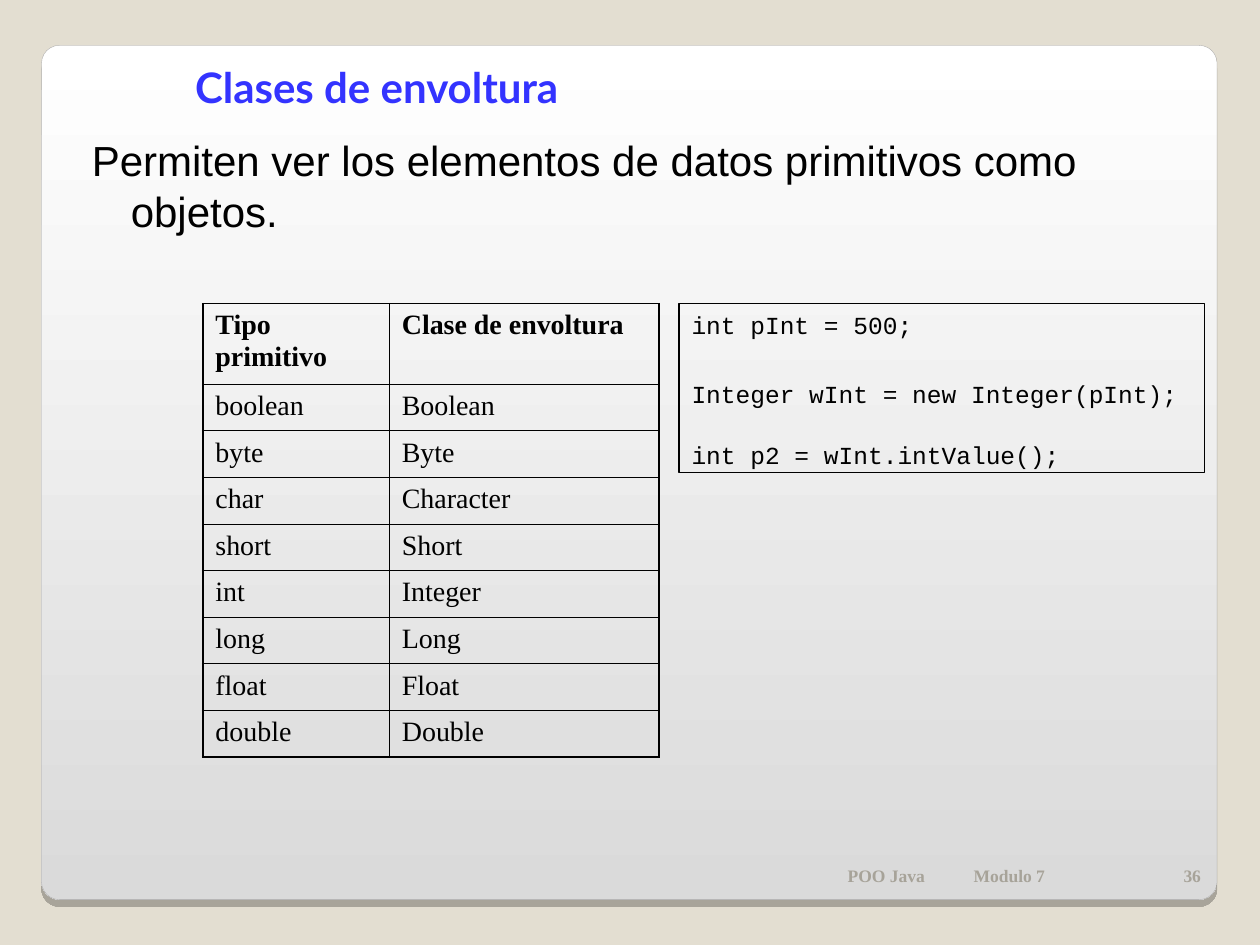
from dataclasses import dataclass

from lxml import etree
from pptx import Presentation
from pptx.dml.color import RGBColor
from pptx.enum.shapes import MSO_SHAPE
from pptx.enum.text import MSO_ANCHOR, PP_ALIGN
from pptx.oxml.ns import qn
from pptx.util import Inches, Pt

ROUNDED = MSO_SHAPE.ROUNDED_RECTANGLE
RECTANGLE = MSO_SHAPE.RECTANGLE
TOP, BOTTOM = MSO_ANCHOR.TOP, MSO_ANCHOR.BOTTOM
LEFT, RIGHT = PP_ALIGN.LEFT, PP_ALIGN.RIGHT

BLACK = RGBColor(0x00, 0x00, 0x00)
WHITE = RGBColor(0xFF, 0xFF, 0xFF)
SILVER = RGBColor(0xDA, 0xDA, 0xDA)
EDGE = RGBColor(0xA4, 0xA3, 0xA3)
SAND = RGBColor(0xE3, 0xDE, 0xD1)
TAUPE = RGBColor(0xA7, 0xA3, 0x99)
BLUE = RGBColor(0x33, 0x33, 0xFF)

THIN, THICK = 0.45, 1.08


@dataclass(frozen=True)
class Style:
    font: str
    size: float
    color: RGBColor = BLACK
    bold: bool = False


@dataclass(frozen=True)
class Label:
    text: str
    left: float
    top: float
    width: float
    height: float
    style: Style
    anchor: MSO_ANCHOR = TOP
    align: PP_ALIGN = LEFT
    margin: float = 0
    indent: float = 0
    tab: float = 0


FOOTER = Style("Times New Roman", 10, TAUPE, True)
CODE = Style("Courier New", 14)
HEADING = Style("Times New Roman", 16, bold=True)
CELL = Style("Times New Roman", 16)

LABELS = [
    Label("POO Java\tModulo 7", 6.63, 6.68, 2.5, 0.4, FOOTER, BOTTOM, tab=0.79),
    Label("36", 9.13, 6.68, 0.5, 0.4, FOOTER, BOTTOM, RIGHT),
    Label("Clases de envoltura", 0.51, 0.44, 4.65, 0.5,
          Style("Lato", 24, BLUE, True), margin=1.25, indent=-0.31),
    Label("Permiten ver los elementos de datos primitivos como objetos.",
          0.63, 1.02, 8.91, 0.9, Style("Arial", 24), margin=0.31, indent=-0.31),
]

CODE_LINES = [
    "int pInt = 500;",
    "Integer wInt = new Integer(pInt);",
    "int p2 = wInt.intValue();",
]

WRAPPERS = [
    ("Tipo primitivo", "Clase de envoltura"),
    ("boolean", "Boolean"),
    ("byte", "Byte"),
    ("char", "Character"),
    ("short", "Short"),
    ("int", "Integer"),
    ("long", "Long"),
    ("float", "Float"),
    ("double", "Double"),
]
COLUMN_WIDTHS = [1.48, 2.14]
HEADING_HEIGHT, ROW_HEIGHT = 0.64, 0.37


def add_span(para, text: str, style: Style) -> None:
    span = para.add_run()
    span.text = text
    span.font.name = style.font
    span.font.size = Pt(style.size)
    span.font.bold = style.bold
    span.font.color.rgb = style.color


def set_indent(para, margin: float, indent: float) -> None:
    properties = para._p.get_or_add_pPr()
    properties.set("marL", str(Inches(margin)))
    properties.set("indent", str(Inches(indent)))


def add_panel(page) -> None:
    panel = page.shapes.add_shape(ROUNDED, Inches(0.33), Inches(0.36), Inches(9.33), Inches(6.78))
    panel.adjustments[0] = 0.021
    panel.fill.gradient()
    panel.fill.gradient_angle = 270
    for stop, color in zip(panel.fill.gradient_stops, (WHITE, SILVER)):
        stop.color.rgb = color
    panel.line.color.rgb = EDGE
    panel.line.width = Pt(0.17)
    panel.shadow.inherit = False
    effects = panel._element.spPr.find(qn("a:effectLst"))
    shadow = etree.SubElement(effects, qn("a:outerShdw"), blurRad="0", dist=str(Pt(4)),
                              dir="5400000", algn="ctr", rotWithShape="0")
    tint = etree.SubElement(shadow, qn("a:srgbClr"), val=str(BLACK))
    etree.SubElement(tint, qn("a:alpha"), val="25000")


def add_label(page, label: Label) -> None:
    box = page.shapes.add_textbox(Inches(label.left), Inches(label.top),
                                  Inches(label.width), Inches(label.height))
    frame = box.text_frame
    frame.word_wrap = True
    frame.vertical_anchor = label.anchor
    para = frame.paragraphs[0]
    para.alignment = label.align
    set_indent(para, label.margin, label.indent)
    if label.tab:
        tabs = etree.SubElement(para._p.get_or_add_pPr(), qn("a:tabLst"))
        etree.SubElement(tabs, qn("a:tab"), pos=str(Inches(label.tab)), algn="l")
    add_span(para, label.text, label.style)


def add_code(page) -> None:
    box = page.shapes.add_shape(RECTANGLE, Inches(5.39), Inches(2.41), Inches(4.17), Inches(1.34))
    box.shadow.inherit = False
    box.fill.background()
    box.line.color.rgb = BLACK
    box.line.width = Pt(0.75)
    frame = box.text_frame
    frame.word_wrap = True
    frame.vertical_anchor = TOP
    for number, line in enumerate(CODE_LINES):
        para = frame.add_paragraph() if number else frame.paragraphs[0]
        para.alignment = LEFT
        set_indent(para, 0.31, -0.31)
        if number:
            para.space_before = Pt(18)
        else:
            para.space_after = Pt(5)
        add_span(para, line, CODE)


def set_border(cell, side: str, width: float) -> None:
    border = etree.SubElement(cell._tc.get_or_add_tcPr(), qn(f"a:ln{side}"), w=str(Pt(width)))
    fill = etree.SubElement(border, qn("a:solidFill"))
    etree.SubElement(fill, qn("a:srgbClr"), val=str(BLACK))


def add_wrapper_table(page) -> None:
    last_row, last_column = len(WRAPPERS) - 1, len(COLUMN_WIDTHS) - 1
    height = HEADING_HEIGHT + last_row * ROW_HEIGHT
    table = page.shapes.add_table(len(WRAPPERS), len(COLUMN_WIDTHS), Inches(1.61), Inches(2.41),
                                  Inches(sum(COLUMN_WIDTHS)), Inches(height)).table
    table.first_row = False
    table.horz_banding = False
    for column, width in zip(table.columns, COLUMN_WIDTHS):
        column.width = Inches(width)
    for r, names in enumerate(WRAPPERS):
        table.rows[r].height = Inches(ROW_HEIGHT if r else HEADING_HEIGHT)
        for c, name in enumerate(names):
            cell = table.cell(r, c)
            outer = {"L": c == 0, "R": c == last_column, "T": r == 0, "B": r == last_row}
            for side, is_outer in outer.items():
                set_border(cell, side, THICK if is_outer else THIN)
            cell.fill.background()
            add_span(cell.text_frame.paragraphs[0], name, CELL if r else HEADING)


def main() -> None:
    deck = Presentation()
    deck.slide_width, deck.slide_height = Inches(10), Inches(7.5)
    page = deck.slides.add_slide(deck.slide_layouts[6])
    page.background.fill.solid()
    page.background.fill.fore_color.rgb = SAND
    add_panel(page)
    for label in LABELS:
        add_label(page, label)
    add_code(page)
    add_wrapper_table(page)
    deck.save("out.pptx")


if __name__ == "__main__":
    main()
